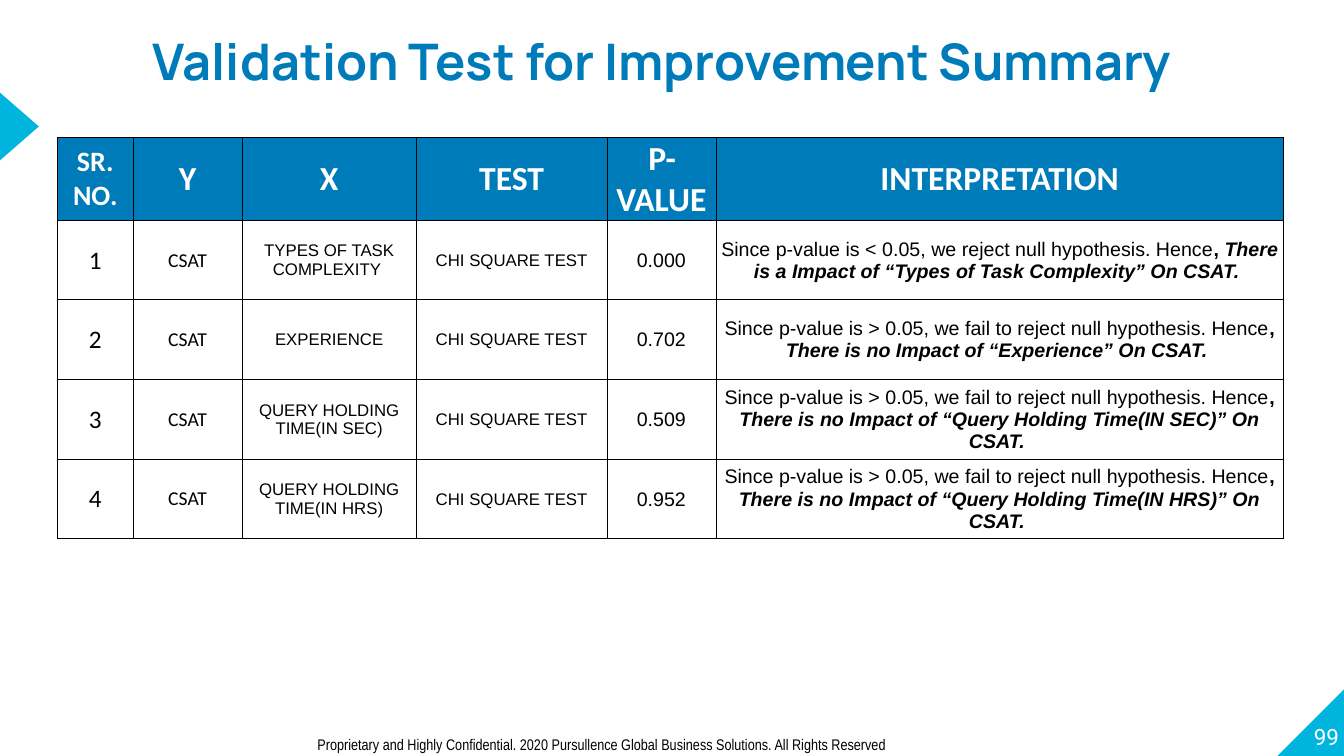
from dataclasses import dataclass

from lxml.etree import SubElement
from pptx import Presentation
from pptx.dml.color import RGBColor
from pptx.enum.shapes import MSO_SHAPE as SHAPE
from pptx.enum.text import MSO_ANCHOR as ANCHOR, MSO_AUTO_SIZE as AUTO, PP_ALIGN as ALIGN
from pptx.oxml.ns import qn
from pptx.util import Inches, Pt

BLUE, CYAN, WHITE, BLACK = "007BB9", "00B5DD", "FFFFFF", "000000"


@dataclass
class Column:
    head: str
    width: float
    font: str
    size: int
    head_size: int = 24


@dataclass
class Test:
    factor: str
    p_value: str
    verdict: str
    finding: str


@dataclass
class Marker:
    kind: SHAPE
    box: tuple[float, float, float, float]
    rotation: int = 0
    flip: bool = False


COLUMNS = [
    Column("SR. NO.", 0.75, "Calibri", 18, 20),
    Column("Y", 1.08, "Calibri", 14),
    Column("X", 1.73, "Arial", 12),
    Column("TEST", 1.89, "Arial", 12),
    Column("P-VALUE", 1.08, "Arial", 14),
    Column("INTERPRETATION", 5.63, "Arial", 14),
]
REJECT = "Since p-value is < 0.05, we reject null hypothesis. Hence"
KEEP = "Since p-value is > 0.05, we fail to reject null hypothesis. Hence"
TESTS = [
    Test("TYPES OF TASK COMPLEXITY ", "0.000", REJECT,
         "There is a Impact of “Types of Task Complexity” On CSAT. "),
    Test("EXPERIENCE", "0.702", KEEP,
         "There is no Impact of “Experience” On CSAT. "),
    Test("QUERY HOLDING TIME(IN SEC)", "0.509", KEEP,
         "There is no Impact of “Query Holding Time(IN SEC)” On CSAT. "),
    Test("QUERY HOLDING TIME(IN HRS)", "0.952", KEEP,
         "There is no Impact of “Query Holding Time(IN HRS)” On CSAT. "),
]
MARKERS = [
    Marker(SHAPE.RIGHT_TRIANGLE, (12.67, 6.82, 0.68, 0.68), flip=True),
    Marker(SHAPE.ISOSCELES_TRIANGLE, (-0.15, 1.06, 0.68, 0.39), rotation=90),
]


def rgb(value: str) -> RGBColor:
    return RGBColor.from_string(value)


def inches(box: tuple) -> list:
    return [Inches(v) for v in box]


def style(p, font: str, size: int, color: str, align=ALIGN.LEFT, bold: bool = False) -> None:
    p.alignment = align
    f = p.font
    f.name, f.size, f.bold = font, Pt(size), bold
    f.color.rgb = rgb(color)


def no_insets(tf) -> None:
    tf.margin_left = tf.margin_right = tf.margin_top = tf.margin_bottom = 0


def add_marker(s, marker: Marker) -> None:
    sp = s.shapes.add_shape(marker.kind, *inches(marker.box))
    sp.shadow.inherit = False
    sp.fill.solid()
    sp.fill.fore_color.rgb = rgb(CYAN)
    sp.line.fill.background()
    sp.rotation = marker.rotation
    if marker.flip:
        sp._element.spPr.xfrm.set("flipH", "1")


def add_label(s, box: tuple, text: str, font: str, size: int, color: str, align=ALIGN.LEFT):
    tf = s.shapes.add_textbox(*inches(box)).text_frame
    tf.word_wrap = True
    p = tf.paragraphs[0]
    p.add_run().text = text
    style(p, font, size, color, align)
    return tf


def format_cell(cell, fill: str | None = None) -> None:
    cell.vertical_anchor = ANCHOR.MIDDLE
    cell.margin_left = cell.margin_right = cell.margin_top = Inches(0.01)
    cell.margin_bottom = 0
    tc_pr = cell._tc.get_or_add_tcPr()
    for side in ("lnL", "lnR", "lnT", "lnB"):
        ln = SubElement(tc_pr, qn(f"a:{side}"), w=str(Pt(0.5)))
        SubElement(SubElement(ln, qn("a:solidFill")), qn("a:srgbClr"), val=BLACK)
    if fill:
        cell.fill.solid()
        cell.fill.fore_color.rgb = rgb(fill)
    else:
        cell.fill.background()


def add_results(s) -> None:
    frame = s.shapes.add_table(len(TESTS) + 1, len(COLUMNS), *inches((0.57, 1.36, 12.16, 3.96)))
    table = frame.table
    for row in table.rows:
        row.height = Inches(0.79)
    table.rows[0].height = Inches(0.81)

    for c, col in enumerate(COLUMNS):
        table.columns[c].width = Inches(col.width)
        cell = table.cell(0, c)
        format_cell(cell, BLUE)
        p = cell.text_frame.paragraphs[0]
        p.add_run().text = col.head
        style(p, "Calibri", col.head_size, WHITE, ALIGN.CENTER, bold=True)

    for n, test in enumerate(TESTS, 1):
        values = [str(n), "CSAT", test.factor, "CHI SQUARE TEST", test.p_value, test.verdict]
        for c, (col, value) in enumerate(zip(COLUMNS, values)):
            cell = table.cell(n, c)
            format_cell(cell)
            p = cell.text_frame.paragraphs[0]
            p.add_run().text = value
            style(p, col.font, col.size, BLACK, ALIGN.CENTER)
        # The last cell of the row ends with the emphasised finding
        for text, italic in ((", ", False), (test.finding, True)):
            r = p.add_run()
            r.text = text
            r.font.bold, r.font.italic = True, italic


def main() -> None:
    prs = Presentation()
    prs.slide_width, prs.slide_height = Inches(13.33), Inches(7.5)
    s = prs.slides.add_slide(prs.slide_layouts[5])

    # Corner and edge markers
    for marker in MARKERS:
        add_marker(s, marker)

    # Title
    title = s.shapes.title
    title.left, title.top, title.width, title.height = inches((1.39, 0, 10.45, 0.76))
    tf = title.text_frame
    tf.text = "Validation Test for Improvement Summary "
    tf.auto_size, tf.vertical_anchor = AUTO.NONE, ANCHOR.TOP
    no_insets(tf)
    p = tf.paragraphs[0]
    p.line_spacing = 1.5
    style(p, "Manrope", 36, BLUE, ALIGN.CENTER, bold=True)

    # Test results
    add_results(s)

    # Slide number and footer
    tf = add_label(s, (12.61, 6.76, 0.67, 0.68), "99", "Roboto", 16, WHITE, ALIGN.RIGHT)
    tf.vertical_anchor = ANCHOR.BOTTOM
    no_insets(tf)
    tf = add_label(s, (3.05, 7.24, 8.51, 0.29),
                   "Proprietary and Highly Confidential. 2020 Pursullence Global Business Solutions. "
                   "All Rights Reserved", "Arial Narrow", 11, BLACK)
    tf.auto_size = AUTO.SHAPE_TO_FIT_TEXT

    prs.save("out.pptx")


if __name__ == "__main__":
    main()
